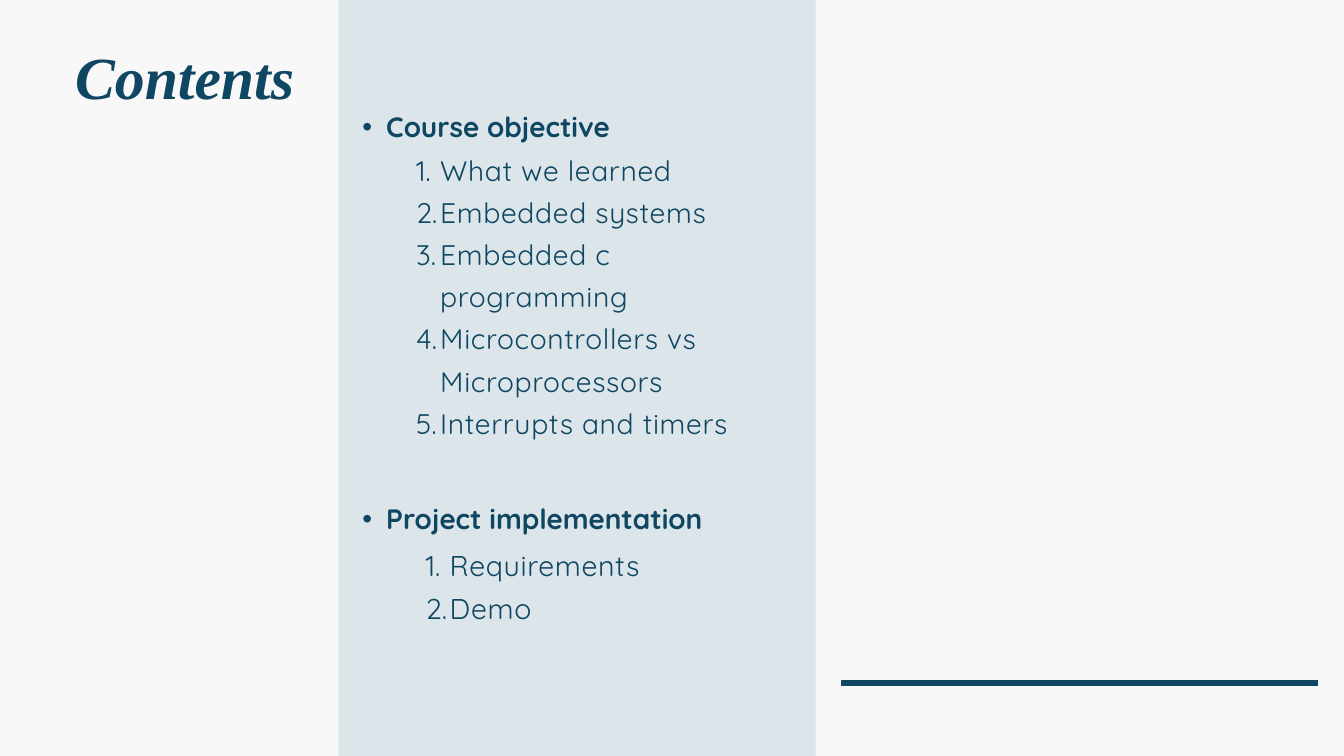
from lxml.etree import SubElement
from pptx import Presentation
from pptx.dml.color import RGBColor
from pptx.enum.shapes import MSO_CONNECTOR, MSO_SHAPE
from pptx.oxml.ns import qn
from pptx.util import Cm, Pt

NAVY = RGBColor(0x0F, 0x46, 0x62)
PALE_BLUE = RGBColor(0xDB, 0xE5, 0xEA)
OFF_WHITE = RGBColor(0xF8, 0xF8, 0xF8)

HEADINGS = ["Course objective", "Project implementation"]
OBJECTIVES = [
    "What we learned",
    "Embedded systems",
    "Embedded c programming",
    "Microcontrollers vs Microprocessors",
    "Interrupts and timers",
]
STEPS = ["Requirements", "Demo"]


def add_text(s, box, lines, size, spacing, font="Quicksand", bold=False, italic=False):
    tf = s.shapes.add_textbox(*map(Cm, box)).text_frame
    tf.word_wrap = True
    tf.margin_left = tf.margin_top = tf.margin_right = tf.margin_bottom = 0
    tf.text = "\n".join(lines)
    for p in tf.paragraphs:
        p.line_spacing = Pt(spacing)
        f = p.runs[0].font
        f.name, f.size, f.bold, f.italic = font, Pt(size), bold, italic
        f.color.rgb = NAVY
    return tf


def set_indent(p, margin, hang):
    p.level = 1
    pPr = p._p.get_or_add_pPr()
    pPr.set("marL", str(Cm(margin)))
    pPr.set("indent", str(-Cm(hang)))
    return pPr


def add_title(s, box):
    add_text(s, box, ["Contents"], 64, 89.6, "Times New Roman", True, True)


def add_headings(s, box, lines_apart):
    spacing = 42
    tf = add_text(s, box, HEADINGS, 30, spacing, bold=True)
    tf.paragraphs[1].space_before = Pt(spacing * (lines_apart - 1))
    for p in tf.paragraphs:
        pPr = set_indent(p, 1.8, 0.9)
        SubElement(pPr, qn("a:buFont"), typeface="Arial")
        SubElement(pPr, qn("a:buChar"), char="•")


def add_numbered(s, box, items, size, spacing):
    tf = add_text(s, box, items, size, spacing)
    for p in tf.paragraphs:
        pPr = set_indent(p, 1.81, 0.91)
        SubElement(pPr, qn("a:buFont"), typeface="Quicksand")
        SubElement(pPr, qn("a:buAutoNum"), type="arabicPeriod")
        p.runs[0].font._element.set("spc", "70")


def add_panel(s, box):
    sp = s.shapes.add_shape(MSO_SHAPE.RECTANGLE, *map(Cm, box))
    sp.shadow.inherit = False
    sp.fill.solid()
    sp.fill.fore_color.rgb = PALE_BLUE
    sp.line.fill.background()


def add_contents(s, box):
    x, y, w, h = box
    add_panel(s, box)
    add_headings(s, (x, y + 3.94, 14.78, 18.87), 10)
    add_numbered(s, (x + 2.03, y + 5.49, 13.44, 11.05), OBJECTIVES, 30.3, 45.1)
    add_numbered(s, (x + 2.39, y + 20.4, 12.73, 3.1), STEPS, 30.6, 45.6)


def add_rule(s, x, y, w):
    line = s.shapes.add_connector(MSO_CONNECTOR.STRAIGHT, Cm(x), Cm(y), Cm(x + w), Cm(y))
    line.line.color.rgb = NAVY
    line.line.width = Pt(6)
    SubElement(line._element.spPr, qn("a:effectLst"))


def main():
    prs = Presentation()
    prs.slide_width, prs.slide_height = Cm(50.8), Cm(28.58)
    s = prs.slides.add_slide(prs.slide_layouts[6])
    s.background.fill.solid()
    s.background.fill.fore_color.rgb = OFF_WHITE
    add_contents(s, (12.8, 0, 18.03, 28.58))
    add_title(s, (2.84, 1.07, 27.53, 3.02))
    add_rule(s, 31.8, 25.83, 18.03)
    prs.save("out.pptx")


if __name__ == "__main__":
    main()
